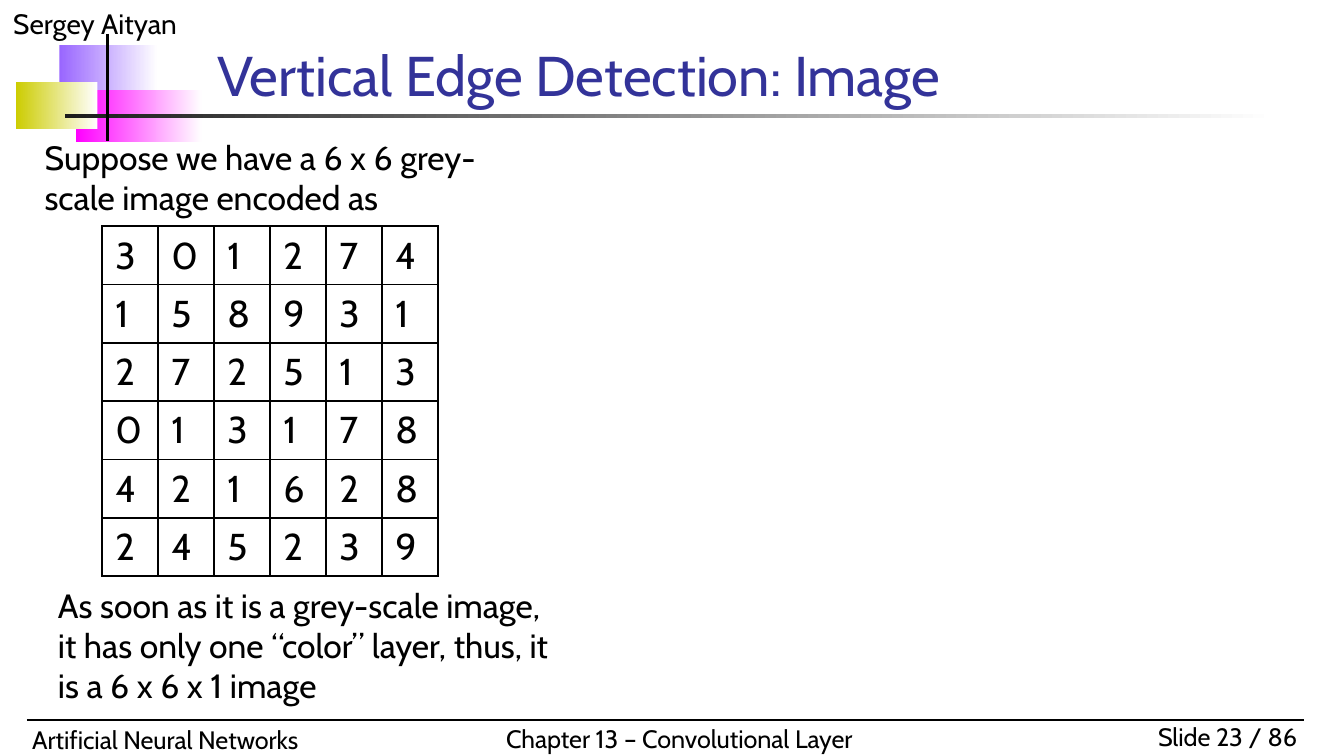
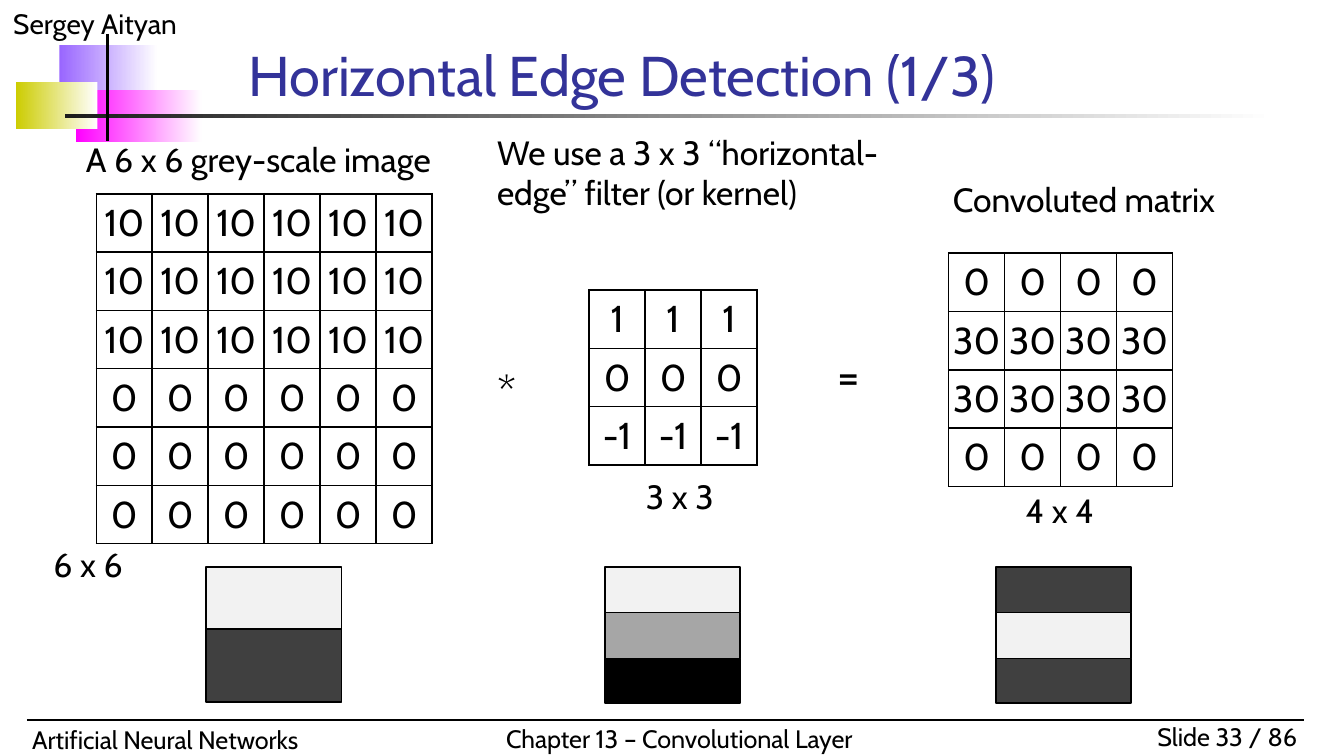
from lxml import etree
from pptx import Presentation
from pptx import util as u
from pptx.dml.color import RGBColor
from pptx.enum import shapes, text
from pptx.oxml import ns

PX = u.Inches(1) // 120
FONT = "Cabin"
CELL_WIDTH, CELL_HEIGHT = 50, 52
STACK_TOP, STACK_WIDTH = 506, 121
THIRDS = (41, 41, 40)
COLORS = {
    "black": "000000",
    "white": "FFFFFF",
    "title": "333399",
    "violet": "9966FF",
    "magenta": "FF00FF",
    "olive": "CCCC00",
    "rule": "1C1C1C",
    "light": "F2F2F2",
    "mid": "A6A6A6",
    "dark": "404040",
}
BANDS = [
    ("violet", 53, 40, 88, 47),
    ("magenta", 68, 80, 112, 47),
    ("olive", 14, 73, 73, 42),
    ("rule", 58, 102, 1080, 3),
]


def rgb(name):
    return RGBColor.from_string(COLORS[name])


def px(*lengths):
    return [u.Emu(length * PX) for length in lengths]


def style_text(para, size, color="black", align=text.PP_ALIGN.LEFT):
    para.alignment = align
    for span in para.runs:
        span.font.name = FONT
        span.font.size = u.Pt(size)
        span.font.bold = False
        span.font.color.rgb = rgb(color)


def add_text(page, words, left, top, width, height, size=18,
             align=text.PP_ALIGN.LEFT, wrap=True):
    box = page.shapes.add_textbox(*px(left, top, width, height))
    frame = box.text_frame
    frame.word_wrap = wrap
    frame.auto_size = text.MSO_AUTO_SIZE.SHAPE_TO_FIT_TEXT
    frame.text = words
    style_text(frame.paragraphs[0], size, align=align)


def add_title(page, words, left, width):
    box = page.shapes.add_textbox(*px(left, 37, width, 65))
    frame = box.text_frame
    frame.word_wrap = True
    frame.vertical_anchor = text.MSO_ANCHOR.BOTTOM
    frame.text = words
    style_text(frame.paragraphs[0], 30, "title")


def add_band(page, color, left, top, width, height):
    """Draw a bar that fades to white on the right."""
    band = page.shapes.add_shape(shapes.MSO_SHAPE.RECTANGLE,
                                 *px(left, top, width, height))
    band.shadow.inherit = False
    band.line.fill.background()
    band.fill.gradient()
    band.fill.gradient_angle = 0
    for stop, name in zip(band.fill.gradient_stops, (color, "white")):
        stop.color.rgb = rgb(name)


def add_line(page, x1, y1, x2, y2, points):
    line = page.shapes.add_connector(shapes.MSO_CONNECTOR.STRAIGHT,
                                     *px(x1, y1, x2, y2))
    line.line.color.rgb = rgb("black")
    line.line.width = u.Pt(points)
    etree.SubElement(line._element.spPr, ns.qn("a:effectLst"))


def add_borders(cell):
    properties = cell._tc.get_or_add_tcPr()
    for side in ("lnL", "lnR", "lnT", "lnB"):
        border = etree.SubElement(properties, ns.qn(f"a:{side}"),
                                  w=str(u.Pt(1)))
        fill = etree.SubElement(border, ns.qn("a:solidFill"))
        etree.SubElement(fill, ns.qn("a:srgbClr"), val=COLORS["black"])


def add_matrix(page, rows, left, top, centered=True):
    row_count, column_count = len(rows), len(rows[0])
    table = page.shapes.add_table(
        row_count, column_count,
        *px(left, top, column_count * CELL_WIDTH, row_count * CELL_HEIGHT)).table
    table.first_row = table.horz_banding = False
    align = text.PP_ALIGN.CENTER if centered else text.PP_ALIGN.LEFT
    for r, row in enumerate(rows):
        for c, value in enumerate(row):
            cell = table.cell(r, c)
            if centered:
                cell.margin_left = cell.margin_right = 0
            cell.text_frame.text = str(value)
            style_text(cell.text_frame.paragraphs[0], 20, align=align)
            add_borders(cell)
            cell.fill.background()


def add_stack(page, left, colors, heights):
    """Draw grey-scale stripes from top to bottom as one group."""
    group = page.shapes.add_group_shape()
    top = STACK_TOP
    for color, height in zip(colors, heights):
        stripe = group.shapes.add_shape(shapes.MSO_SHAPE.RECTANGLE,
                                        *px(left, top, STACK_WIDTH, height))
        stripe.shadow.inherit = False
        stripe.fill.solid()
        stripe.fill.fore_color.rgb = rgb(color)
        stripe.line.color.rgb = rgb("black")
        stripe.line.width = u.Pt(1)
        top += height


def add_page(deck, number, title, title_left, title_width):
    page = deck.slides.add_slide(deck.slide_layouts[6])
    for band in BANDS:
        add_band(page, *band)
    add_text(page, "Sergey Aityan", 0, 0, 300, 42, 15)
    add_text(page, f"Slide {number} / 86", 990, 638, 180, 40, 13.5,
             text.PP_ALIGN.RIGHT)
    add_text(page, "Artificial Neural Networks", 17, 641, 444, 40, 13.5)
    add_text(page, "Chapter 13 – Convolutional Layer", 440, 640, 359, 40, 13.5,
             wrap=False)
    add_line(page, 24, 643, 1164, 643, 0.75)
    add_line(page, 96, 30, 96, 126, 2)
    add_title(page, title, title_left, title_width)
    return page


def build_image_page(deck):
    page = add_page(deck, 23, "Vertical Edge Detection: Image", 182, 882)
    add_text(page, "Suppose we have a 6 x 6 grey-scale image encoded as",
             28, 116, 428, 85)
    pixels = [
        [3, 0, 1, 2, 7, 4],
        [1, 5, 8, 9, 3, 1],
        [2, 7, 2, 5, 1, 3],
        [0, 1, 3, 1, 7, 8],
        [4, 2, 1, 6, 2, 8],
        [2, 4, 5, 2, 3, 9],
    ]
    add_matrix(page, pixels, 91, 202, centered=False)
    add_text(page, "As soon as it is a grey-scale image, it has only one "
             "“color” layer, thus, it is a 6 x 6 x 1 image", 40, 516, 470, 121)


def build_horizontal_page(deck):
    page = add_page(deck, 33, "Horizontal Edge Detection (1/3)", 210, 990)

    add_text(page, "A 6 x 6 grey-scale image", 65, 118, 355, 48)
    add_matrix(page, [[10] * 6] * 3 + [[0] * 6] * 3, 86, 173)
    add_text(page, "6 x 6", 36, 480, 110, 48)
    add_stack(page, 184, ("light", "dark"), (56, 65))

    add_text(page, "*", 432, 319, 53, 60, 24)
    add_text(page, "We use a 3 x 3 “horizontal-edge” filter (or kernel)",
             432, 112, 389, 85)
    add_matrix(page, [[value] * 3 for value in (1, 0, -1)], 526, 259)
    add_text(page, "3 x 3", 565, 419, 110, 48)
    add_stack(page, 540, ("light", "mid", "black"), THIRDS)

    add_text(page, "=", 736, 305, 53, 60, 24)
    add_text(page, "Convoluted matrix", 839, 154, 292, 48)
    add_matrix(page, [[value] * 4 for value in (0, 30, 30, 0)], 847, 226)
    add_text(page, "4 x 4", 904, 432, 110, 48)
    add_stack(page, 889, ("dark", "light", "dark"), THIRDS)


def main():
    deck = Presentation()
    deck.slide_width, deck.slide_height = px(1200, 675)
    build_image_page(deck)
    build_horizontal_page(deck)
    deck.save("out.pptx")


if __name__ == "__main__":
    main()
